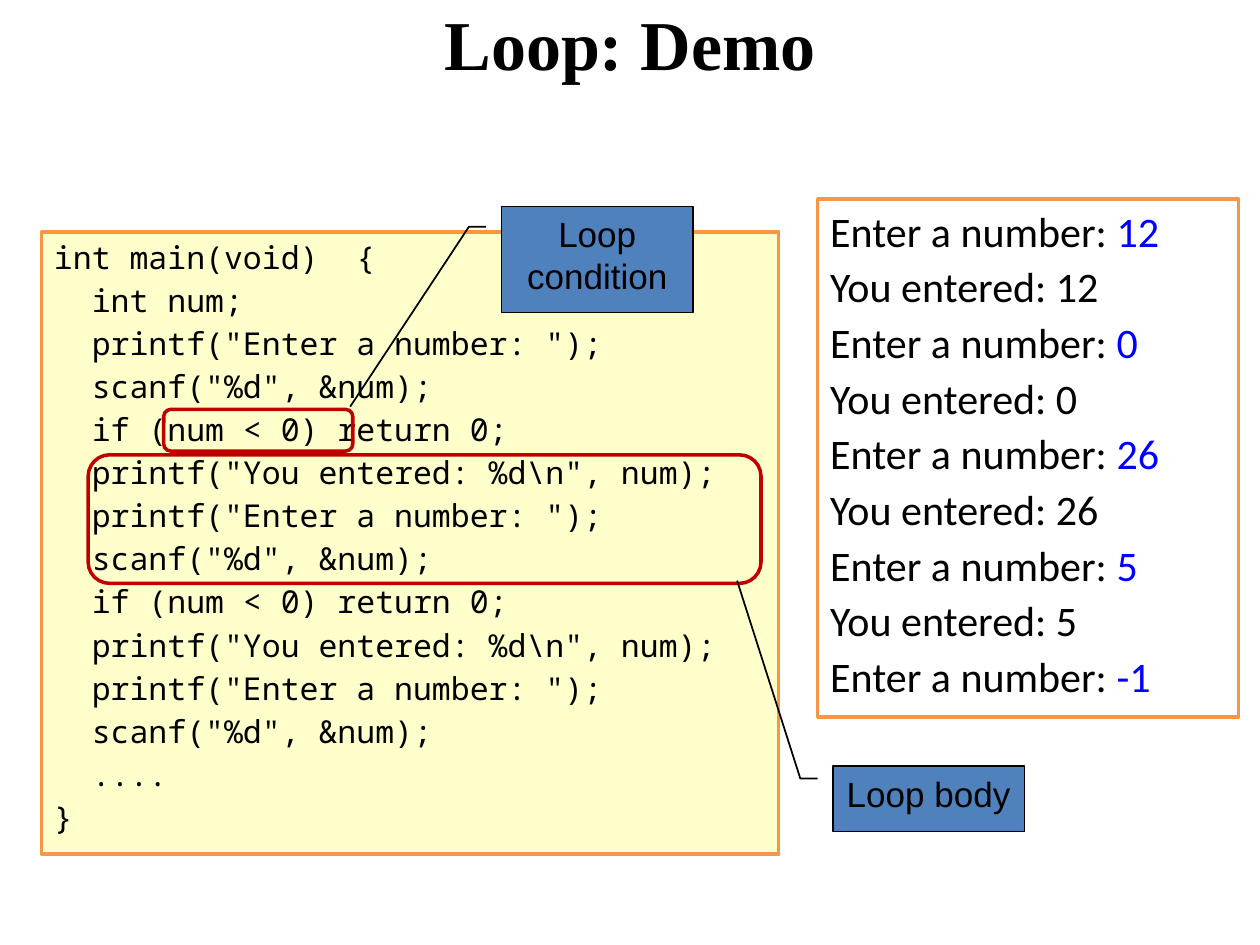
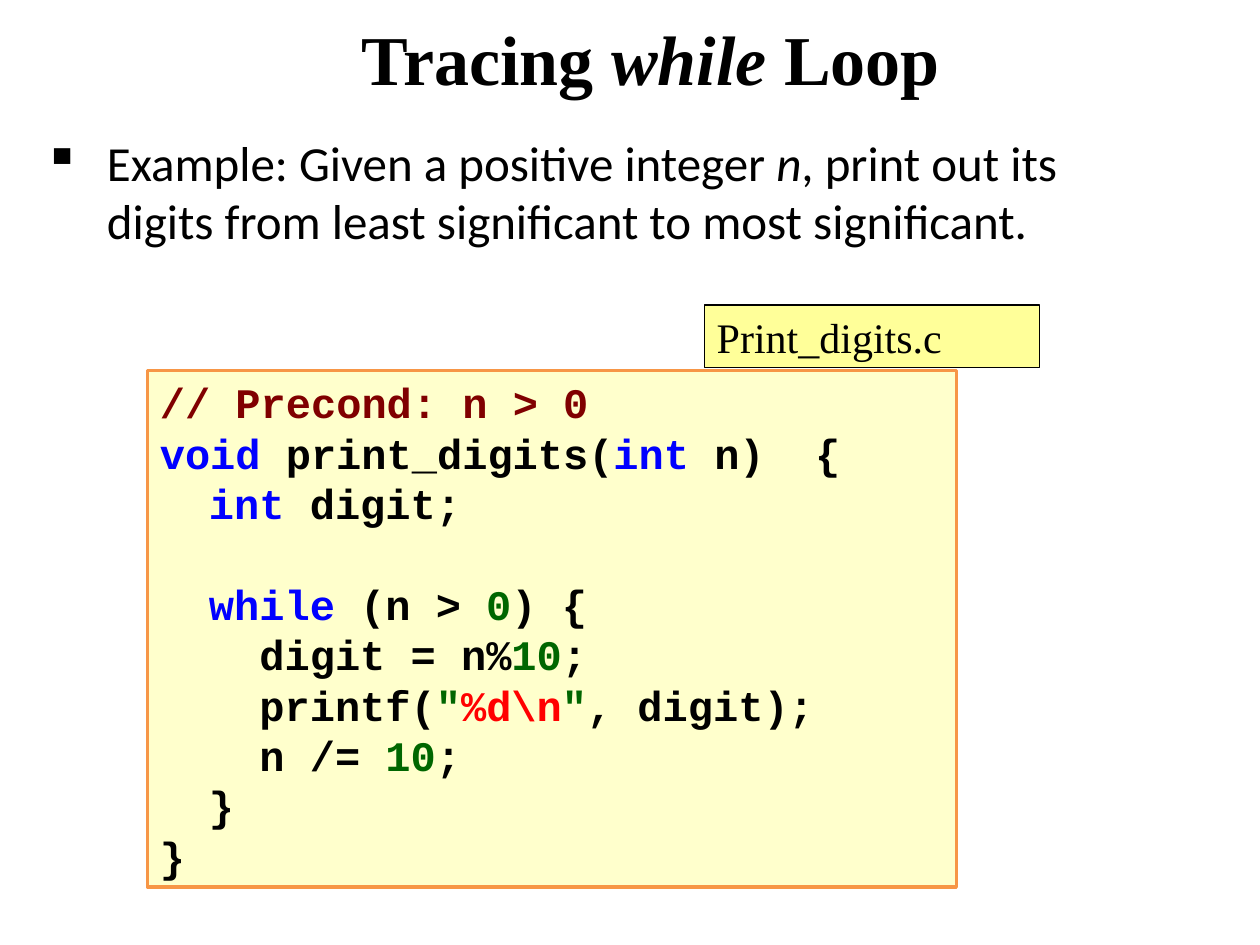
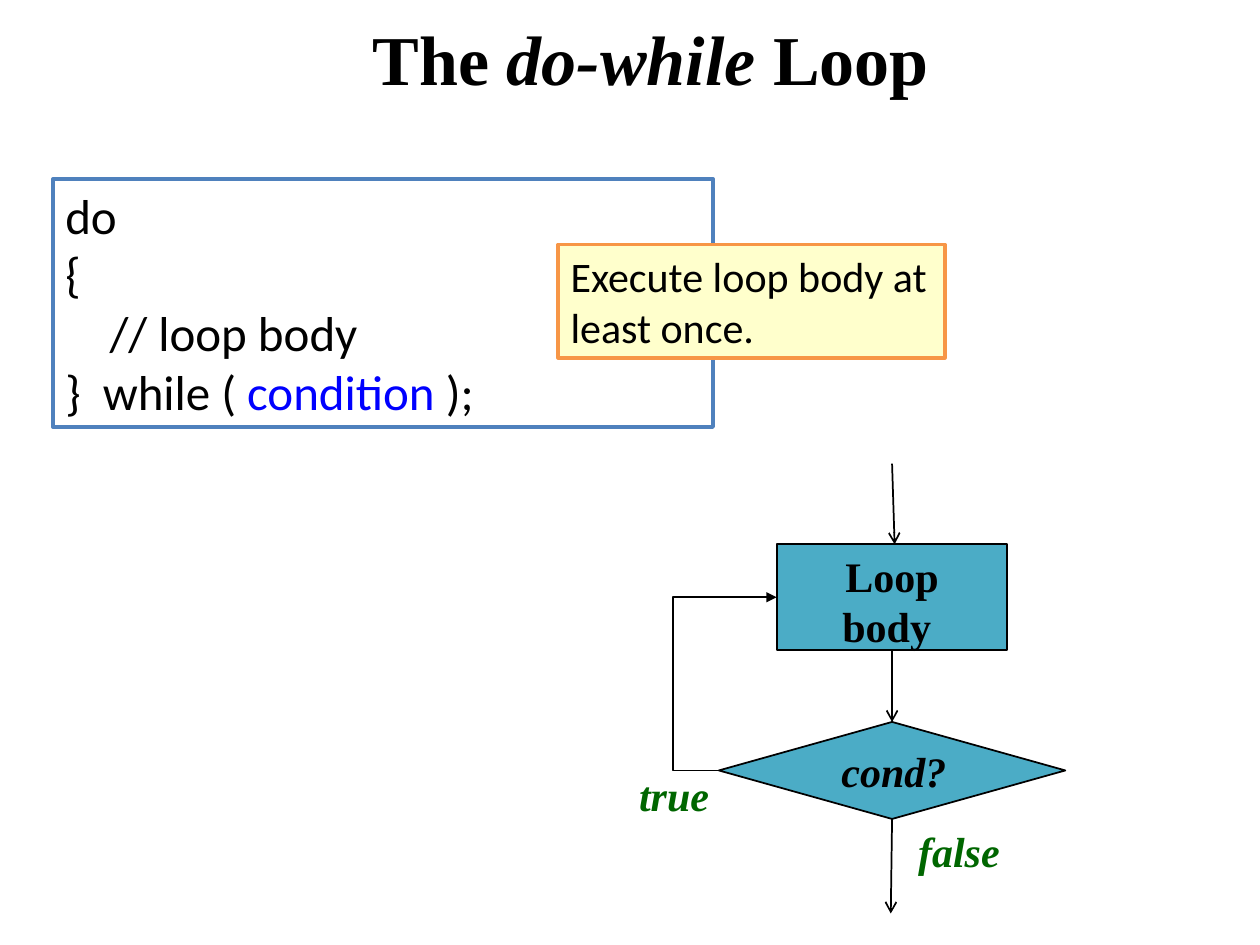
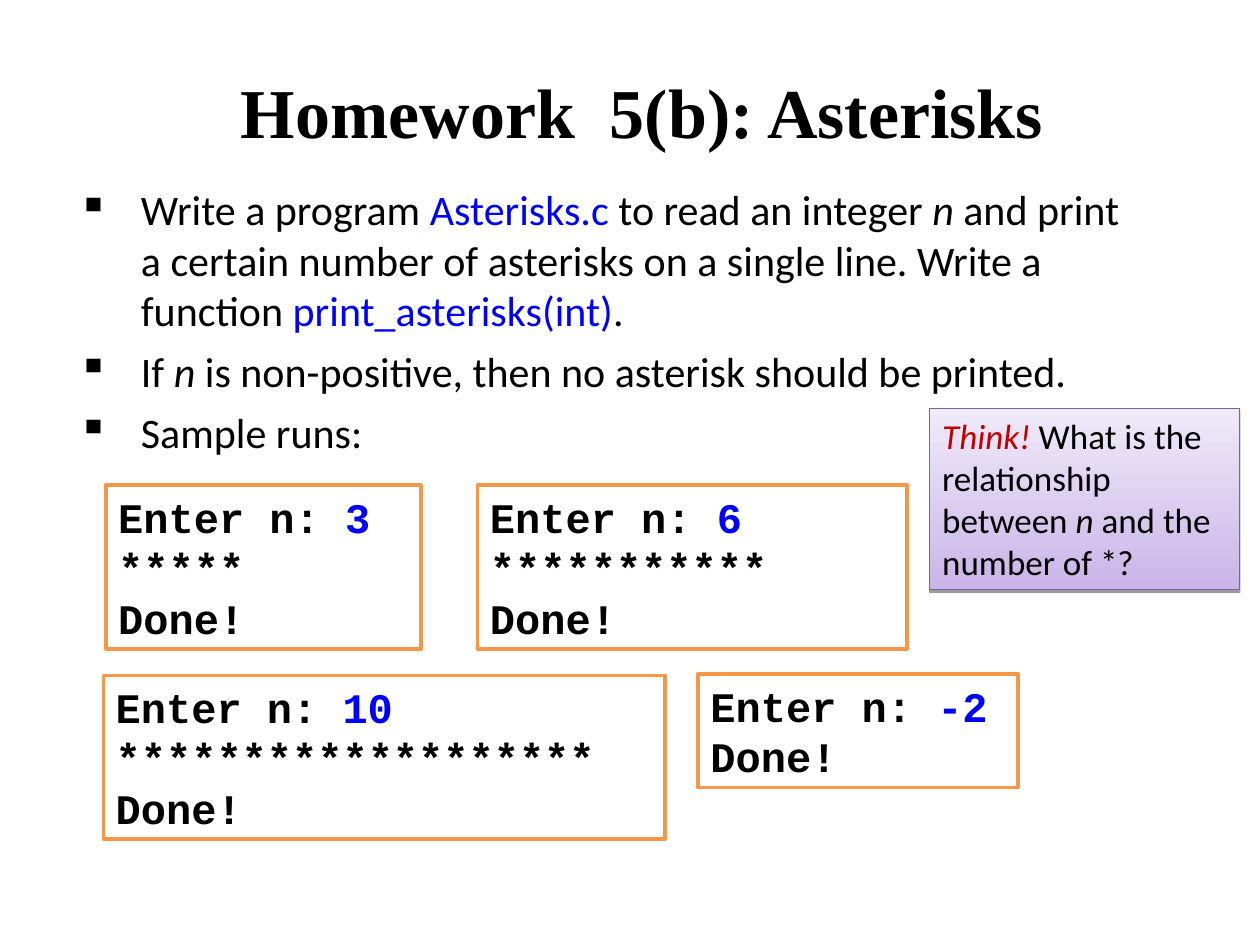
from lxml.etree import SubElement
from pptx import Presentation
from pptx.dml.color import RGBColor
from pptx.enum.shapes import MSO_CONNECTOR, MSO_SHAPE
from pptx.enum.text import MSO_ANCHOR, PP_ALIGN
from pptx.oxml.ns import qn
from pptx.util import Inches, Pt

SLIDE_WIDTH, SLIDE_HEIGHT = 10, 7.5

BLACK = RGBColor(0x00, 0x00, 0x00)
WHITE = RGBColor(0xFF, 0xFF, 0xFF)
CREAM = RGBColor(0xFF, 0xFF, 0xCC)
YELLOW = RGBColor(0xFF, 0xFF, 0x99)
ORANGE = RGBColor(0xF7, 0x96, 0x46)
STEEL = RGBColor(0x4F, 0x81, 0xBD)
TEAL = RGBColor(0x4B, 0xAC, 0xC6)
CRIMSON = RGBColor(0xC0, 0x00, 0x00)
MAROON = RGBColor(0x80, 0x00, 0x00)
RED = RGBColor(0xFF, 0x00, 0x00)
BLUE = RGBColor(0x00, 0x00, 0xFF)
GREEN = RGBColor(0x00, 0x66, 0x00)
PURPLE = RGBColor(0x7D, 0x60, 0xA0)
LILAC = RGBColor(0xC9, 0xB5, 0xE8)
PALE_LILAC = RGBColor(0xF0, 0xEA, 0xF9)

SERIF, SANS, CODE = "Times New Roman", "Calibri", "Courier New"

# Run formats: a paragraph is a string or a list of strings and (text, format) pairs.
ITALIC = {"italic": True}
KEYWORD = {"color": BLUE}
NUMBER = {"color": GREEN}
FORMAT_CODE = {"color": RED}
COMMENT = {"color": MAROON}

TITLES = [
    (["Loop: Demo"], (0.5, -0.08, 9, 0.83)),
    (["Tracing ", ("while ", ITALIC), "Loop"], (0.58, 0, 9.17, 0.92)),
    (["The ", ("do-while ", ITALIC), "Loop"], (0.58, 0, 9.17, 0.92)),
    (["Homework  5(b): Asterisks "], (0.58, 0.42, 9.17, 0.92)),
]

ECHO_ROUND = [
    "\tif (num < 0) return 0;",
    '\tprintf("You entered: %d\\n", num);',
    '\tprintf("Enter a number: ");',
    '\tscanf("%d", &num);',
]
DEMO_CODE = ["int main(void)  {", "\tint num;", *ECHO_ROUND[2:],
             *ECHO_ROUND * 2, "\t....", "}"]
DEMO_INPUTS = ["12", "0", "26", "5", "-1"]

# Highlighted code area, callout text, callout area, callout adjustments
DEMO_CALLOUTS = [
    ((1.3, 3.25, 1.5, 0.33), "Loop condition", (3.98, 1.64, 1.52, 0.84),
     (0.19, -0.08, 0.19, -0.17, 1.89, -0.79)),
    ((0.7, 3.61, 5.34, 1.02), "Loop body", (6.61, 6.08, 1.52, 0.52),
     (0.19, -0.08, 0.19, -0.17, -2.83, -0.5)),
]

DIGITS_TASK = [
    ["Example: Given a positive integer ", ("n", ITALIC),
     ", print out its digits from least significant to most significant."],
]
DIGITS_CODE = [
    [("// Precond: n > 0", COMMENT)],
    [("void ", KEYWORD), "print_digits(", ("int ", KEYWORD), "n)  {"],
    ["\t", ("int", KEYWORD), " digit;"],
    "",
    ["\t", ("while", KEYWORD), " (n > ", ("0", NUMBER), ") {"],
    ["\t\tdigit = n%", ("10", NUMBER), ";"],
    ["\t\tprintf(", ('"', NUMBER), ("%d\\n", FORMAT_CODE), ('"', NUMBER), ", digit);"],
    ["\t\tn /= ", ("10", NUMBER), ";"],
    "\t}",
    "}",
]

DO_WHILE_CODE = [
    "do",
    "{",
    "    // loop body",
    ["}  while ( ", ("condition", KEYWORD), " );"],
]

HOMEWORK = [
    ["Write a program ", ("Asterisks.c", KEYWORD), " to read an integer ", ("n", ITALIC),
     " and print a certain number of asterisks on a single line. Write a function ",
     ("print_asterisks(int)", KEYWORD), "."],
    ["If ", ("n", ITALIC), " is non-positive, then no asterisk should be printed."],
    "Sample runs:",
]
# Number entered, asterisks printed, left, top, width
SAMPLE_RUNS = [
    ("3", 5, 0.84, 3.85, 2.5),
    ("6", 11, 3.79, 3.85, 3.41),
    ("10", 19, 0.82, 5.36, 4.46),
    ("-2", 0, 5.54, 5.35, 2.54),
]
HINT = [[("Think! ", {"color": CRIMSON, "italic": True}),
         "What is the relationship between ", ("n", ITALIC), " and the number of *?"]]


def add_tab_stops(properties, stops):
    tab_list = SubElement(properties, qn("a:tabLst"))
    for stop in stops:
        SubElement(tab_list, qn("a:tab"), pos=str(Inches(stop)), algn="l")


def add_square_bullet(properties):
    properties.set("marL", str(Inches(0.5)))
    properties.set("indent", str(-Inches(0.5)))
    colour = SubElement(properties, qn("a:buClr"))
    SubElement(colour, qn("a:srgbClr"), val=str(BLACK))
    SubElement(properties, qn("a:buChar"), char="▪")


def write(holder, paragraphs, *, font, size, color=BLACK, bold=False, italic=False,
          align=PP_ALIGN.LEFT, anchor=MSO_ANCHOR.TOP, space=0, tabs=(), bullets=False):
    """Fill a shape with paragraphs; an empty code line widens the gap by one line."""
    frame = holder.text_frame
    frame.word_wrap = True
    frame.vertical_anchor = anchor
    gap, paragraph = 0, None
    for content in paragraphs:
        if not content:
            gap += size * 1.2
            continue
        first = paragraph is None
        paragraph = frame.paragraphs[0] if first else frame.add_paragraph()
        paragraph.alignment = align
        if not first:
            paragraph.space_before = Pt(space + gap)
        gap = 0
        properties = paragraph._p.get_or_add_pPr()
        if bullets:
            add_square_bullet(properties)
        if tabs:
            add_tab_stops(properties, tabs)
        for piece in [content] if isinstance(content, str) else content:
            words, style = (piece, {}) if isinstance(piece, str) else piece
            run = paragraph.add_run()
            run.text = words
            run.font.name = font
            run.font.size = Pt(size)
            run.font.bold = bold
            run.font.italic = style.get("italic", italic)
            run.font.color.rgb = style.get("color", color)


def add_label(slide, area, paragraphs, **text_format):
    label = slide.shapes.add_textbox(*map(Inches, area))
    write(label, paragraphs, **text_format)


def add_panel(slide, area, paragraphs=(), *, kind=MSO_SHAPE.RECTANGLE, fill=None,
              line=ORANGE, width=2, **text_format):
    panel = slide.shapes.add_shape(kind, *map(Inches, area))
    panel.shadow.inherit = False
    if fill is None:
        panel.fill.background()
    else:
        panel.fill.solid()
        panel.fill.fore_color.rgb = fill
    panel.line.color.rgb = line
    panel.line.width = Pt(width)
    if paragraphs:
        write(panel, paragraphs, **text_format)
    return panel


def add_arrow(slide, start, end, *, kind=MSO_CONNECTOR.STRAIGHT,
              end_tag="a:tailEnd", head="arrow"):
    arrow = slide.shapes.add_connector(kind, *map(Inches, (*start, *end)))
    arrow.line.color.rgb = BLACK
    arrow.line.width = Pt(1)
    SubElement(arrow.line._get_or_add_ln(), qn(end_tag), type=head)
    SubElement(arrow._element.spPr, qn("a:effectLst"))
    return arrow


def build_demo(slide):
    add_panel(slide, (0.33, 1.84, 5.85, 4.94), DEMO_CODE, fill=CREAM,
              font="Noto Sans Mono", size=18, space=3, tabs=(0.3, 0.59, 0.89))
    session = []
    for number in DEMO_INPUTS:
        session += [["Enter a number: ", (number, KEYWORD)], f"You entered: {number}"]
    add_panel(slide, (6.49, 1.58, 3.34, 4.11), session[:-1], fill=WHITE,
              font=SANS, size=24, space=3)
    for highlight, caption, area, adjustments in DEMO_CALLOUTS:
        add_panel(slide, highlight, kind=MSO_SHAPE.ROUNDED_RECTANGLE, line=CRIMSON)
        callout = add_panel(slide, area, [caption], kind=MSO_SHAPE.LINE_CALLOUT_2,
                            fill=STEEL, line=BLACK, width=1,
                            font="Arial", size=20, align=PP_ALIGN.CENTER)
        for index, value in enumerate(adjustments):
            callout.adjustments[index] = value


def build_tracing(slide):
    add_label(slide, (0.25, 1, 8.69, 1.66), DIGITS_TASK, font=SANS, size=28, bullets=True)
    add_panel(slide, (1.17, 2.94, 6.42, 4.1), DIGITS_CODE, fill=CREAM,
              font=CODE, size=24, bold=True, tabs=(0.39, 0.79, 1.18))
    add_panel(slide, (5.59, 2.42, 2.66, 0.5), ["Print_digits.c"], fill=YELLOW,
              line=BLACK, width=0.75, font=SERIF, size=24)


def build_do_while(slide):
    add_panel(slide, (0.42, 1.42, 5.24, 1.97), DO_WHILE_CODE, fill=WHITE, line=STEEL,
              font=SANS, size=28)
    add_panel(slide, (4.43, 1.94, 3.07, 0.9), ["Execute loop body at least once."],
              fill=CREAM, font=SANS, size=24)

    axis = 7.08
    body_width, body_top, body_height = 1.83, 4.32, 0.84
    test_width, test_top, test_height = 2.75, 5.73, 0.77
    body_left, test_left = axis - body_width / 2, axis - test_width / 2
    body_bottom, test_bottom = body_top + body_height, test_top + test_height
    flow_text = dict(font=SERIF, size=24, bold=True, align=PP_ALIGN.CENTER)
    flow_box = dict(fill=TEAL, line=BLACK, width=1)

    add_panel(slide, (test_left, test_top, test_width, test_height),
              kind=MSO_SHAPE.FLOWCHART_DECISION, **flow_box)
    add_panel(slide, (body_left, body_top, body_width, body_height), ["Loop", "body "],
              kind=MSO_SHAPE.FLOWCHART_PROCESS, **flow_box, **flow_text)
    for words, color, area in [("cond?", BLACK, (6.23, 5.87, 1.73, 0.5)),
                               ("true", GREEN, (4.67, 6.06, 1.36, 0.5)),
                               ("false", GREEN, (7, 6.5, 1.22, 0.5))]:
        add_label(slide, area, [words], color=color, italic=True, **flow_text)

    add_arrow(slide, (axis, 3.68), (axis + 0.02, body_top))
    add_arrow(slide, (axis, body_bottom), (axis, test_top))
    add_arrow(slide, (axis, test_bottom), (axis - 0.01, 7.25))
    repeat = add_arrow(slide, (body_left, body_top + body_height / 2),
                       (test_left, test_top + test_height / 2),
                       kind=MSO_CONNECTOR.ELBOW, end_tag="a:headEnd", head="triangle")
    guides = repeat._element.spPr.find(qn("a:prstGeom")).get_or_add_avLst()
    SubElement(guides, qn("a:gd"), name="adj1", fmla="val 179000")


def build_homework(slide):
    add_label(slide, (0.52, 1.41, 8.69, 2.48), HOMEWORK, font=SANS, size=24,
              space=6, bullets=True)
    for number, stars, left, top, width in SAMPLE_RUNS:
        output = [["Enter n: ", (number, KEYWORD)]]
        output += ["*" * stars, "Done!"] if stars else ["Done!"]
        add_panel(slide, (left, top, width, 0.1 + 0.4 * len(output)), output,
                  fill=WHITE, font=CODE, size=24, bold=True)

    hint = add_panel(slide, (7.38, 3.24, 2.46, 1.44), HINT, line=PURPLE, width=0.75,
                     font=SANS, size=20)
    hint.fill.gradient()
    hint.fill.gradient_angle = 90
    for stop, color in zip(hint.fill.gradient_stops, (LILAC, PALE_LILAC)):
        stop.color.rgb = color
    effects = hint._element.spPr.find(qn("a:effectLst"))
    shadow = SubElement(effects, qn("a:outerShdw"), blurRad="0", dist=str(Pt(1.6)),
                        dir="5400000", rotWithShape="0")
    shade = SubElement(shadow, qn("a:srgbClr"), val=str(BLACK))
    SubElement(shade, qn("a:alpha"), val="38000")


def main():
    deck = Presentation()
    deck.slide_width, deck.slide_height = Inches(SLIDE_WIDTH), Inches(SLIDE_HEIGHT)
    blank = deck.slide_layouts[6]
    builders = [build_demo, build_tracing, build_do_while, build_homework]
    for (title, area), build in zip(TITLES, builders):
        slide = deck.slides.add_slide(blank)
        add_label(slide, area, [title], font=SERIF, size=40, bold=True,
                  align=PP_ALIGN.CENTER, anchor=MSO_ANCHOR.MIDDLE)
        build(slide)
    deck.save("out.pptx")


if __name__ == "__main__":
    main()
